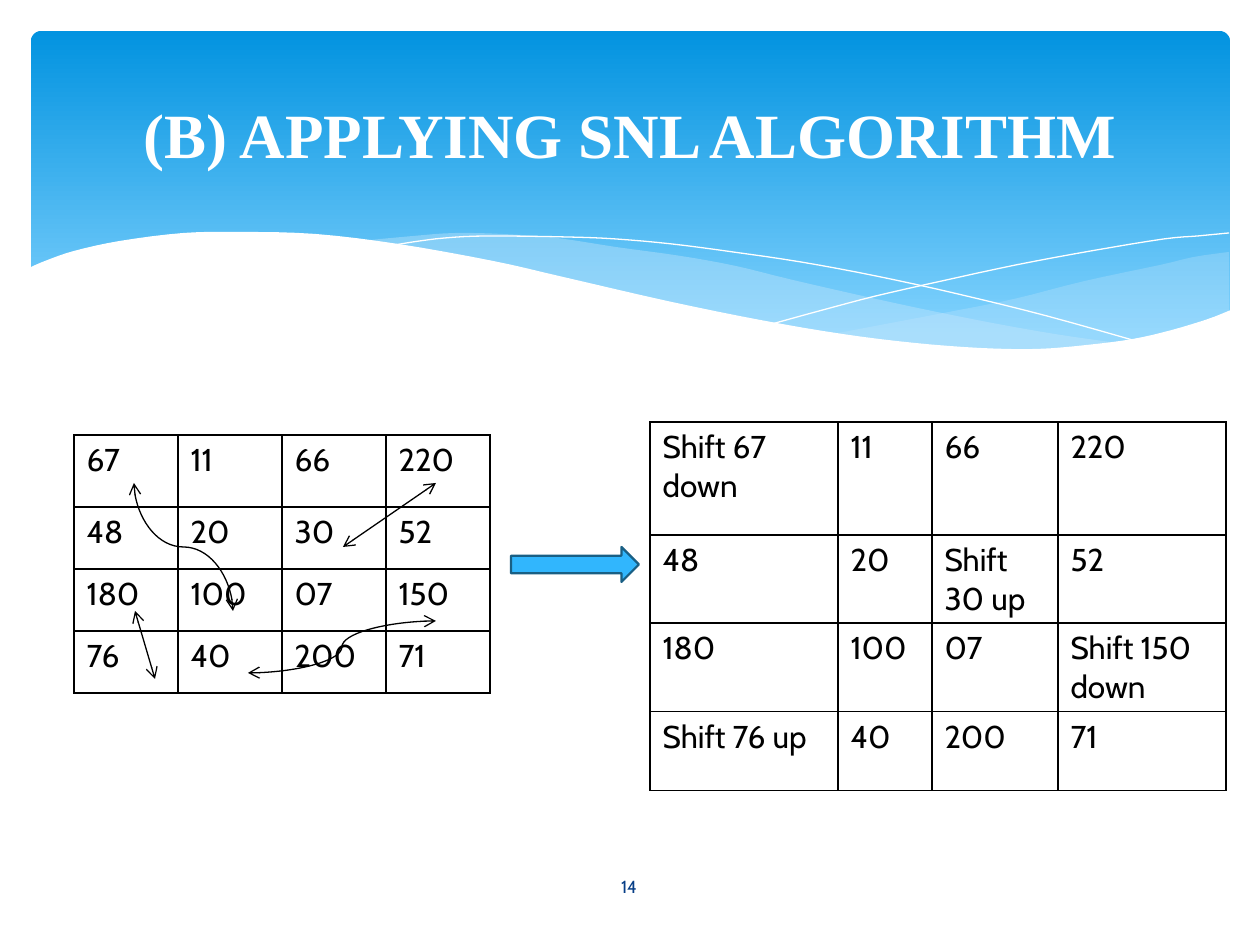
import pptx
import pptx.dml.color
import pptx.enum.shapes
import pptx.enum.text
import pptx.oxml.ns
import pptx.util
from lxml import etree

COLORS = {
    "white": "FFFFFF", "black": "000000", "navy": "073E87",
    "band_top": "0293E0", "band_bottom": "83D3FE", "mist": "C6E7FC",
    "arrow": "31B6FD", "arrow_edge": "195F84",
}
EMU_PER_PX = 914400 / 126
SHAPE = pptx.enum.shapes.MSO_SHAPE
CONNECTOR = pptx.enum.shapes.MSO_CONNECTOR
ALIGN = pptx.enum.text.PP_ALIGN
ANCHOR = pptx.enum.text.MSO_ANCHOR
qn = pptx.oxml.ns.qn

RIGHT_WAVE = [
    [(1229, 252), (1194, 257), (1160, 265), (1085, 281), (1014, 299), (949, 312), (833, 334)],
    [(833, 334), (906, 342), (969, 348), (1026, 350), (1076, 348), (1120, 343), (1160, 334),
     (1196, 323), (1229, 311)],
]
MIDDLE_WAVE = [
    [(1125, 344), (1055, 334), (977, 320), (890, 302), (793, 280), (736, 266), (681, 256),
     (616, 247), (557, 238), (503, 234), (455, 233), (413, 236), (360, 241)],
    [(360, 241), (407, 247), (456, 256), (509, 266), (566, 280), (668, 302), (757, 320),
     (838, 335), (911, 344), (974, 349), (1031, 350), (1080, 349), (1125, 344)],
]
FALLING_LINE = [
    (389, 246), (413, 242), (445, 238), (488, 236), (567, 237), (616, 239), (672, 244),
    (733, 252), (801, 262), (876, 276), (958, 294), (1047, 316), (1143, 343),
]
RISING_LINE = [
    (772, 324), (823, 310), (876, 296), (942, 281), (1016, 265), (1091, 251), (1164, 239),
    (1198, 236), (1229, 233),
]
FRONT_WAVE = [
    [(29, 268), (45, 261), (74, 251), (120, 241), (184, 233), (243, 232), (315, 234),
     (398, 244), (493, 261), (563, 277), (667, 301), (760, 320), (842, 334), (915, 343),
     (980, 348), (1037, 349), (1087, 345), (1133, 339), (1172, 330), (1208, 319), (1231, 310)],
    [(1231, 415), (29, 415)],
]
BEFORE = [
    ["67", "11", "66", "220"],
    ["48", "20", "30", "52"],
    ["180", "100", "07", "150"],
    ["76", "40", "200", "71"],
]
AFTER = [
    ["Shift 67 down", "11", "66", "220"],
    ["48", "20", "Shift 30 up", "52"],
    ["180", "100", "07", "Shift 150 down"],
    ["Shift 76 up", "40", "200", "71"],
]


def px(length):
    return pptx.util.Emu(round(length * EMU_PER_PX))


def rgb(name):
    return pptx.dml.color.RGBColor.from_string(COLORS[name])


def add_xml(parent, tag, **attributes):
    return etree.SubElement(parent, qn(tag), attributes)


def smooth(knots, steps=4):
    """Return points of a Catmull-Rom curve through the knots."""
    padded = [knots[0], *knots, knots[-1]]
    points = []
    for a, b, c, d in zip(padded, padded[1:], padded[2:], padded[3:]):
        for t in (step / steps for step in range(steps)):
            points.append(tuple(
                q + t / 2 * (r - p + t * (2 * p - 5 * q + 4 * r - s + t * (3 * (q - r) + s - p)))
                for p, q, r, s in zip(a, b, c, d)))
    return points + [knots[-1]]


def write_text(frame, text, size=18, font="Cabin", color="black", bold=False,
               align=ALIGN.LEFT, anchor=ANCHOR.TOP):
    frame.word_wrap = True
    frame.vertical_anchor = anchor
    paragraph = frame.paragraphs[0]
    paragraph.alignment = align
    run = paragraph.add_run()
    run.text = text
    run.font.size, run.font.name, run.font.bold = pptx.util.Pt(size), font, bold
    run.font.color.rgb = rgb(color)


class SlideBuilder:
    """Holds the current slide and the look shared by its elements."""

    def __init__(self, slide):
        self.shapes = slide.shapes

    def paint(self, shape, fill=None, line=None, line_width=0, opacity=100):
        shape.shadow.inherit = False
        if fill:
            shape.fill.solid()
            shape.fill.fore_color.rgb = rgb(fill)
            if opacity < 100:
                color = shape._element.spPr.find(qn("a:solidFill")).find(qn("a:srgbClr"))
                add_xml(color, "a:alpha", val=str(opacity * 1000))
        else:
            shape.fill.background()
        if line:
            shape.line.color.rgb = rgb(line)
            shape.line.width = pptx.util.Pt(line_width)
        else:
            shape.line.fill.background()

    def preset(self, kind, *box, **look):
        shape = self.shapes.add_shape(kind, *map(px, box))
        self.paint(shape, **look)
        return shape

    def band(self, *box):
        shape = self.preset(SHAPE.ROUNDED_RECTANGLE, *box)
        shape.adjustments[0] = 0.03
        shape.fill.gradient()
        shape.fill.gradient_angle = 270
        stops = zip(shape.fill.gradient_stops, ("band_top", "band_bottom"), (0, 0.9))
        for stop, color, position in stops:
            stop.color.rgb = rgb(color)
            stop.position = position

    def curve(self, *edges, closed=True, **look):
        points = [(px(x), px(y)) for edge in edges for x, y in smooth(edge)]
        builder = self.shapes.build_freeform(*points[0])
        builder.add_line_segments(points[1:], close=closed)
        self.paint(builder.convert_to_shape(), **look)

    def title(self, text, *box, **look):
        shape = self.shapes.title
        shape.left, shape.top, shape.width, shape.height = map(px, box)
        write_text(shape.text_frame, text, **look)
        # The placeholder comes first in the tree; bring it above the band.
        self.shapes._spTree.append(shape._element)

    def text(self, text, *box, **look):
        write_text(self.shapes.add_textbox(*map(px, box)).text_frame, text, **look)

    def table(self, rows, left, top, widths, heights):
        box = map(px, (left, top, sum(widths), sum(heights)))
        table = self.shapes.add_table(len(rows), len(widths), *box).table
        table.first_row = table.horz_banding = False
        for column, width in zip(table.columns, widths):
            column.width = px(width)
        for row, height, texts in zip(table.rows, heights, rows):
            row.height = px(height)
            for cell, text in zip(row.cells, texts):
                write_text(cell.text_frame, text)
                for side in "LRTB":
                    line = add_xml(cell._tc.get_or_add_tcPr(), f"a:ln{side}", w="12700")
                    add_xml(add_xml(line, "a:solidFill"), "a:srgbClr", val=COLORS["black"])
                cell.fill.background()

    def double_arrow(self, start, end, kind=CONNECTOR.STRAIGHT, upright=False):
        """Join two points; an upright curve leaves and arrives vertically."""
        (x1, y1), (x2, y2) = start, end
        if upright:
            middle_x, middle_y = (x1 + x2) / 2, (y1 + y2) / 2
            half_x, half_y = (x2 - x1) / 2, (y2 - y1) / 2
            x1, x2 = middle_x + half_y, middle_x - half_y
            y1, y2 = middle_y - half_x, middle_y + half_x
        connector = self.shapes.add_connector(kind, *map(px, (x1, y1, x2, y2)))
        connector.line.color.rgb = rgb("black")
        connector.line.width = pptx.util.Pt(0.75)
        properties = connector._element.spPr
        if upright:
            properties.find(qn("a:xfrm")).set("rot", "16200000")
        for tag in ("a:headEnd", "a:tailEnd"):
            add_xml(properties.find(qn("a:ln")), tag, type="arrow")
        add_xml(properties, "a:effectLst")


def main():
    presentation = pptx.Presentation()
    presentation.slide_width, presentation.slide_height = px(1260), px(945)
    builder = SlideBuilder(presentation.slides.add_slide(presentation.slide_layouts[5]))

    builder.band(31, 31, 1199, 340)
    builder.curve(*RIGHT_WAVE, fill="mist", opacity=29)
    builder.curve(*MIDDLE_WAVE, fill="mist", opacity=40)
    for line in (FALLING_LINE, RISING_LINE):
        builder.curve(line, closed=False, line="white")
    builder.curve(*FRONT_WAVE, fill="white")

    centred = {"align": ALIGN.CENTER, "anchor": ANCHOR.MIDDLE}
    builder.title("(B) APPLYING SNL ALGORITHM", 63, 47, 1134, 173, size=36,
                  font="Times New Roman", color="white", bold=True, **centred)
    builder.text("14", 549, 862, 160, 50, size=10, color="navy", **centred)

    builder.table(BEFORE, 74, 435, [104] * 4, [72, 62, 62, 62])
    builder.double_arrow((134, 483), (233, 611), CONNECTOR.CURVE, upright=True)
    builder.double_arrow((343, 547), (436, 483))
    builder.double_arrow((135, 611), (155, 679))
    builder.double_arrow((248, 673), (436, 621), CONNECTOR.CURVE)
    builder.table(AFTER, 650, 422, [188, 94, 126, 168], [113, 79, 79, 79])
    builder.preset(SHAPE.RIGHT_ARROW, 511, 547, 128, 35,
                   fill="arrow", line="arrow_edge", line_width=1.25)

    presentation.save("out.pptx")


if __name__ == "__main__":
    main()
